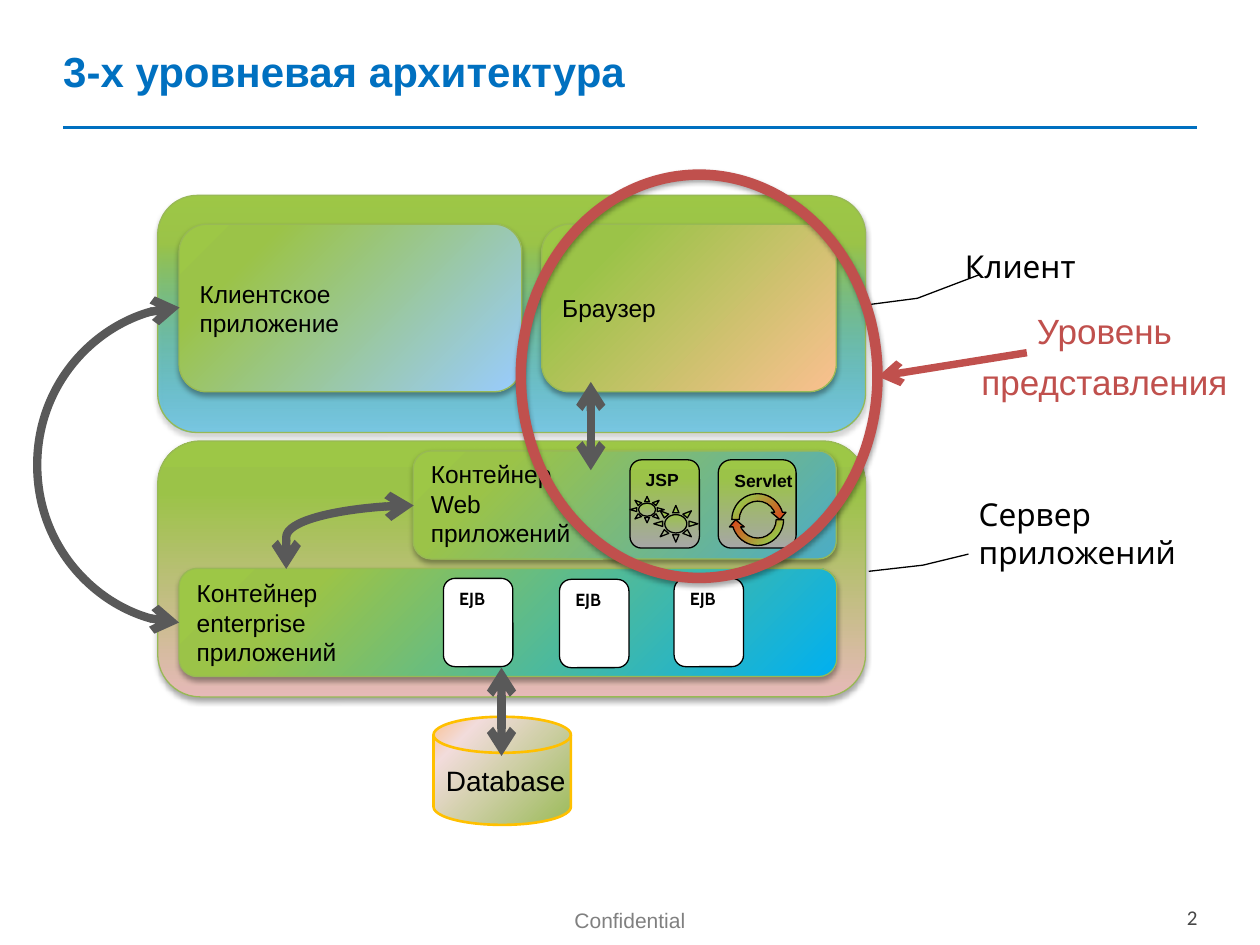
from dataclasses import dataclass

from lxml import etree
from pptx import Presentation
from pptx.dml.color import RGBColor
from pptx.enum import shapes, text
from pptx.oxml import parse_xml
from pptx.oxml import ns
from pptx.util import Cm, Pt


@dataclass(frozen=True)
class Theme:
    blue: str = "0070C0"
    red: str = "C0504D"
    black: str = "000000"
    white: str = "FFFFFF"
    arrow: str = "595959"
    edge: str = "98B955"
    gold: str = "FFC000"
    footer: str = "808080"
    number: str = "474747"
    greens: tuple = ("9BC348", "9DC746")
    disk: tuple = ("F2DCDB", "FAC090")
    sans: str = "Arial"
    label: str = "Cabin"
    title_size: int = 24
    level_size: int = 20
    callout_size: int = 18
    disk_size: int = 16
    box_size: int = 14
    footer_size: int = 12
    tag_size: int = 10


T = Theme()
K = shapes.MSO_SHAPE
TOP, MIDDLE, BOTTOM = text.MSO_ANCHOR.TOP, text.MSO_ANCHOR.MIDDLE, text.MSO_ANCHOR.BOTTOM
LEFT, CENTER, RIGHT = text.PP_ALIGN.LEFT, text.PP_ALIGN.CENTER, text.PP_ALIGN.RIGHT


def write(sp, words, size=T.box_size, color=T.black, font=T.sans, bold=False,
          anchor=MIDDLE, align=LEFT, wrap=False, gap=0):
    tf = sp.text_frame
    tf.word_wrap = wrap
    tf.vertical_anchor = anchor
    for i, line in enumerate(words.split("\n")):
        p = tf.add_paragraph() if i else tf.paragraphs[0]
        p.alignment = align
        if i and gap:
            p.space_before = Pt(gap)
        r = p.add_run()
        r.text = line
        r.font.size = Pt(size)
        r.font.name = font
        r.font.bold = bold
        r.font.color.rgb = RGBColor.from_string(color)


def draw(kind, box, fill=None, line=T.black, width=0.75, angle=None, alpha=100,
         tones=T.greens, shadow=False):
    sp = s.shapes.add_shape(kind, *map(Cm, box))
    sp.line.color.rgb = RGBColor.from_string(line)
    sp.line.width = Pt(width)
    sp.shadow.inherit = False
    spPr = sp._element.spPr
    if fill is None:
        sp.fill.background()
    elif fill == T.white:
        sp.fill.solid()
        sp.fill.fore_color.rgb = RGBColor.from_string(fill)
    else:
        way = (f'<a:lin ang="{angle * 60000}" scaled="0"/>' if angle else
               '<a:path path="circle"><a:fillToRect l="100000" t="100000"/></a:path>')
        spPr.prstGeom.addnext(parse_xml(
            f'<a:gradFill {ns.nsdecls("a")} rotWithShape="1"><a:gsLst>'
            f'<a:gs pos="0"><a:srgbClr val="{fill}"><a:alpha val="{alpha * 1000}"/></a:srgbClr></a:gs>'
            f'<a:gs pos="80000"><a:srgbClr val="{tones[0]}"/></a:gs>'
            f'<a:gs pos="100000"><a:srgbClr val="{tones[1]}"/></a:gs>'
            f'</a:gsLst>{way}</a:gradFill>'))
    if shadow:
        spPr.find(ns.qn("a:effectLst")).append(parse_xml(
            f'<a:outerShdw {ns.nsdecls("a")} blurRad="40000" dist="23000" dir="5400000" '
            'rotWithShape="0"><a:srgbClr val="000000"><a:alpha val="35000"/></a:srgbClr></a:outerShdw>'))
    return sp


prs = Presentation()
prs.slide_width, prs.slide_height = Cm(25.4), Cm(19.05)
s = prs.slides.add_slide(prs.slide_layouts[5])

title = s.shapes.title
title.left, title.top, title.width, title.height = map(Cm, (1.02, 0.05, 23.6, 2.74))
write(title, "3-х уровневая архитектура", size=T.title_size, color=T.blue, bold=True, wrap=True)

rule = s.shapes.add_connector(shapes.MSO_CONNECTOR.STRAIGHT, Cm(1.27), Cm(2.57), Cm(24.13), Cm(2.57))
rule.line.color.rgb = RGBColor.from_string(T.blue)
rule.line.width = Pt(2.25)
etree.SubElement(rule._element.spPr, ns.qn("a:effectLst"))

for words, box, color, font, align in (
    ("Confidential", (10.01, 18.11, 5.38, 0.99), T.footer, T.sans, CENTER),
    ("2", (22.33, 18.06, 2.06, 0.69), T.number, "Calibri", RIGHT),
):
    sp = s.shapes.add_textbox(*map(Cm, box))
    write(sp, words, size=T.footer_size, color=color, font=font, align=align, anchor=TOP, wrap=True)
    sp.text_frame.margin_top = Cm(0.18)

for top, height, fill, alpha in ((3.94, 4.78, "00B0F0", 43), (8.89, 5.16, "E6B9B8", 100)):
    draw(K.ROUNDED_RECTANGLE, (3.18, top, 14.27, height), fill, T.edge,
         angle=270, alpha=alpha, shadow=True)

for words, box, fill, anchor in (
    ("Браузер", (10.92, 4.52, 5.94, 3.38), "FAC090", MIDDLE),
    ("Клиентское\nприложение", (3.61, 4.52, 6.91, 3.38), "99CCFF", MIDDLE),
    ("Контейнер\nWeb\nприложений", (8.33, 9.09, 8.53, 2.18), "4BACC6", BOTTOM),
    ("Контейнер\nenterprise\nприложений", (3.61, 11.46, 13.26, 2.18), "00B0F0", MIDDLE),
):
    write(draw(K.ROUNDED_RECTANGLE, box, fill, T.edge, shadow=True), words, anchor=anchor)

for words, left, top, width, fill, font in (
    ("JSP", 12.7, 9.27, 1.4, "A6A6A6", T.sans),
    ("Servlet", 14.48, 9.27, 1.57, "A6A6A6", T.sans),
    ("EJB", 8.94, 11.66, 1.4, T.white, T.label),
    ("EJB", 11.28, 11.68, 1.4, T.white, T.label),
    ("EJB", 13.59, 11.66, 1.4, T.white, T.label),
):
    sp = draw(K.ROUNDED_RECTANGLE, (left, top, width, 1.78), fill, angle=270)
    write(sp, words, size=T.tag_size, font=font, bold=True, anchor=TOP)

for box in ((12.7, 10.01, 0.69, 0.53), (13.18, 10.19, 0.89, 0.74)):
    draw(K.SUN, box, "A6A6A6", angle=270)
for turn in (0, 180):
    draw(K.CIRCULAR_ARROW, (14.68, 9.88, 1.19, 1.19), "FF0000", angle=225).rotation = turn

disk = draw(K.FLOWCHART_MAGNETIC_DISK, (8.74, 14.45, 2.77, 2.18), "9BBB59", T.gold, 1.5, tones=T.disk)
write(disk, "Database", size=T.disk_size)

for words, box, adj in (
    ("Клиент", (19.2, 4.75, 3.53, 1.24), (0.63, 0.16, 1.02, -0.2, 1.12, -0.47)),
    ("Сервер\nприложений", (19.48, 10.13, 4.37, 1.24), (0.84, 0.01, 1.02, -0.2, 1.12, -0.45)),
):
    sp = draw(K.LINE_CALLOUT_2_NO_BORDER, box, T.white)
    for i, value in enumerate(adj):
        sp.adjustments[i] = value
    write(sp, words, size=T.callout_size, font=T.label)

draw(K.OVAL, (10.03, 3.99, 8.13, 7.19), line=T.red, width=6, shadow=True).rotation = 270

CURVE, STRAIGHT = shapes.MSO_CONNECTOR.CURVE, shapes.MSO_CONNECTOR.STRAIGHT
for kind, x, y, w, h, turn, bend, color, width, ends in (
    (CURVE, 3.61, 6.2, 0.01, 6.35, 180, 287, T.arrow, 4.75, ("head", "tail")),
    (CURVE, 5.77, 10.19, 2.57, 1.28, 180, 1, T.arrow, 4.75, ("head", "tail")),
    (CURVE, 11.02, 8.59, 1.78, 0, 90, 0.5, T.arrow, 4.75, ("head", "tail")),
    (CURVE, 9.22, 14.35, 1.78, 0, 90, 0.5, T.arrow, 4.75, ("head", "tail")),
    (STRAIGHT, 20.7, 7.11, -3, 0.48, 0, None, T.red, 4.25, ("tail",)),
):
    c = s.shapes.add_connector(kind, Cm(x), Cm(y), Cm(x + w), Cm(y + h))
    c.line.color.rgb = RGBColor.from_string(color)
    c.line.width = Pt(width)
    spPr = c._element.spPr
    if turn:
        spPr.xfrm.set("rot", str(turn * 60000))
    if turn == 180:
        spPr.xfrm.set("flipV", "1")
    if bend:
        guides = spPr.find(ns.qn("a:prstGeom")).find(ns.qn("a:avLst"))
        etree.SubElement(guides, ns.qn("a:gd"), name="adj1", fmla=f"val {int(bend * 100000)}")
    for end in ends:
        etree.SubElement(spPr.find(ns.qn("a:ln")), ns.qn(f"a:{end}End"), type="arrow")
    etree.SubElement(spPr, ns.qn("a:effectLst"))

level = s.shapes.add_textbox(*map(Cm, (19.51, 6.12, 5.51, 2.13)))
write(level, "Уровень\nпредставления", size=T.level_size, color=T.red, align=CENTER, anchor=TOP, gap=5)

prs.save("out.pptx")
